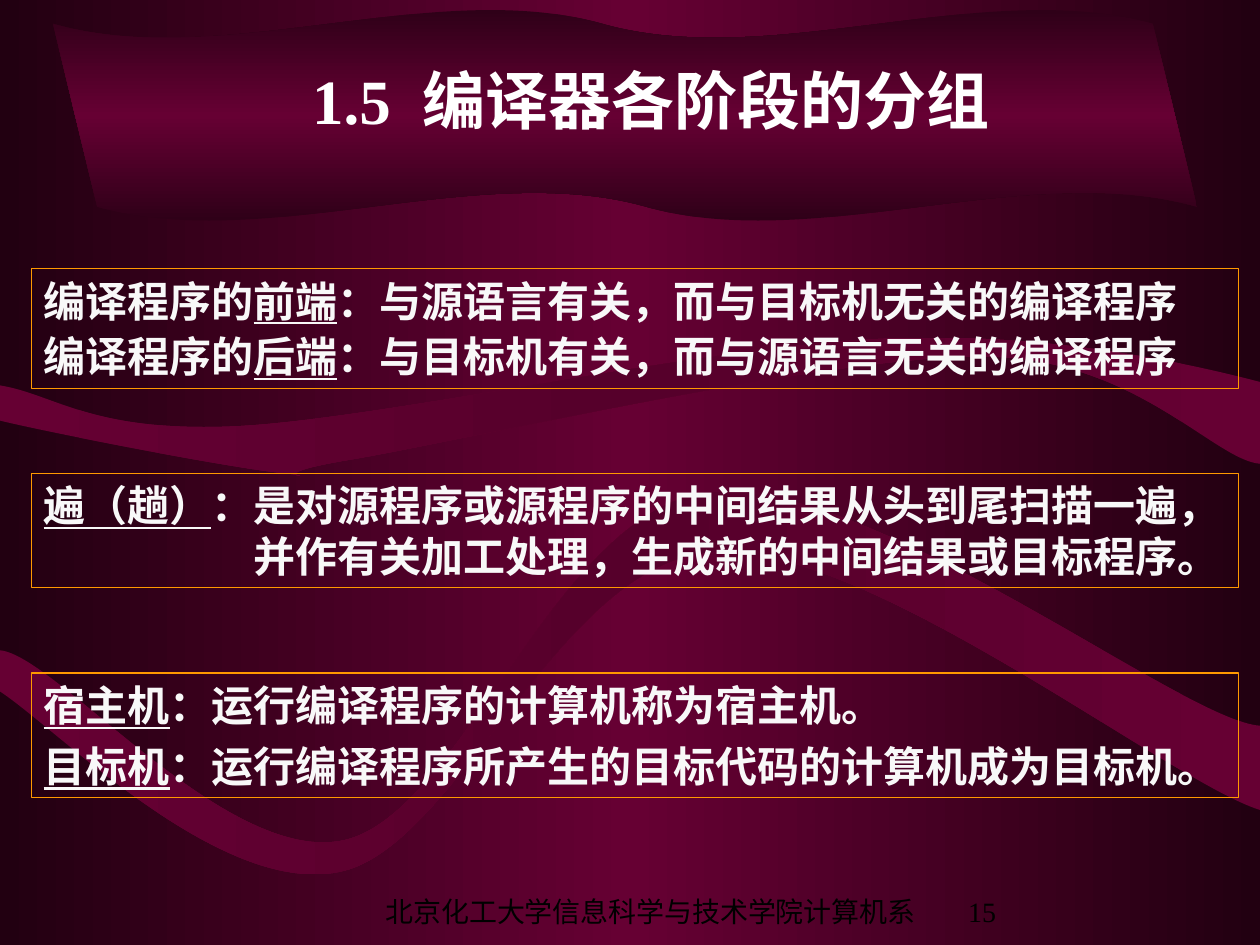
from copy import deepcopy

from lxml.etree import SubElement
from pptx import Presentation
from pptx.dml.color import RGBColor
from pptx.enum.shapes import MSO_SHAPE as Shape
from pptx.enum.text import MSO_ANCHOR as Anchor, PP_ALIGN as Align
from pptx.oxml.ns import qn
from pptx.util import Cm, Pt

DARK = RGBColor(0x22, 0x00, 0x11)
WINE = RGBColor(0x66, 0x00, 0x33)
WINE_DEEP = RGBColor(0x56, 0x00, 0x2B)
BANNER_EDGE = RGBColor(0x2F, 0x00, 0x18)
ORANGE = RGBColor(0xFF, 0x99, 0x00)
OFF_WHITE = RGBColor(0xF8, 0xF8, 0xF8)
WHITE = RGBColor(0xFF, 0xFF, 0xFF)
BLACK = RGBColor(0x00, 0x00, 0x00)
SERIF = "Times New Roman"
SANS = "Noto Sans CJK SC"
COMMANDS = {1: "a:lnTo", 3: "a:cubicBezTo"}


def fill_mirrored(fill, element, edge, middle, angle):
    """Fill with a gradient that runs edge, middle, edge."""
    fill.gradient()
    fill.gradient_angle = angle
    stops = element.find(".//" + qn("a:gsLst"))
    stops.insert(1, deepcopy(stops[0]))
    for stop, position, color in zip(fill.gradient_stops, (0, 0.5, 1), (edge, middle, edge)):
        stop.position = position
        stop.color.rgb = color


def add_path_command(outline, tag, coordinates, left, top):
    command = SubElement(outline, qn(tag))
    for x, y in zip(coordinates[::2], coordinates[1::2]):
        SubElement(command, qn("a:pt"), x=str(Cm(x) - Cm(left)), y=str(Cm(y) - Cm(top)))


prs = Presentation()
prs.slide_width, prs.slide_height = Cm(25.4), Cm(19.05)
slide = prs.slides.add_slide(prs.slide_layouts[5])
fill_mirrored(slide.background.fill, slide.element, DARK, WINE, 0)

# Two ribbons and the title banner: frame, start, corners and curves, edge, middle, angle
outlines = [
    ((0, 6.68, 25.4, 9.65), (0, 7.77),
     [(0, 8.48), (0.94, 8.71, 4.45, 9.4, 5.64, 9.53), (6.83, 9.65, 4.83, 9.63, 7.16, 9.25),
      (9.53, 8.84, 16.76, 7.16, 19.81, 7.19), (22.86, 7.19, 24.46, 9.27, 25.4, 9.35),
      (25.4, 7.7), (24.13, 7.37, 21.23, 6.68, 17.81, 6.83),
      (14.38, 6.96, 7.8, 8.43, 4.83, 8.59), (1.85, 8.74, 1.12, 7.95, 0, 7.77)],
     WINE, WINE_DEEP, 0),
    ((0, 9.58, 25.4, 18.06), (0, 13.11),
     [(0, 13.94), (1.14, 14.68, 4.42, 18.06, 6.83, 17.58),
      (9.22, 17.12, 11.25, 11.33, 14.35, 11.13), (17.45, 10.9, 23.55, 15.75, 25.4, 16.33),
      (25.4, 14.63), (23.83, 14.53, 17.55, 9.58, 14.27, 9.93),
      (11.2, 10.31, 9.32, 16.41, 6.93, 16.94), (4.55, 17.45, 1.14, 13.21, 0, 13.11)],
     WINE, WINE_DEEP, 0),
    ((1.07, 0.2, 24.13, 4.45), (23.24, 0.48),
     [(19.84, -0.48, 15.54, 1.45, 12.14, 0.48), (8.74, -0.48, 4.47, 1.45, 1.07, 0.48),
      (1.96, 4.17), (5.36, 5.13, 9.65, 3.2, 13.03, 4.17),
      (16.43, 5.13, 20.73, 3.2, 24.13, 4.17)],
     BANNER_EDGE, WINE, 90),
]
for (left, top, right, bottom), start, segments, edge, middle, angle in outlines:
    builder = slide.shapes.build_freeform(Cm(left), Cm(top))
    builder.add_line_segments([(Cm(right), Cm(top)), (Cm(right), Cm(bottom))])
    ribbon = builder.convert_to_shape()
    outline = ribbon.element.find(".//" + qn("a:path"))
    for command in list(outline):
        outline.remove(command)
    add_path_command(outline, "a:moveTo", start, left, top)
    for segment in segments:
        add_path_command(outline, COMMANDS[len(segment) // 2], segment, left, top)
    SubElement(outline, qn("a:close"))
    ribbon.shadow.inherit = False
    ribbon.line.fill.background()
    fill_mirrored(ribbon.fill, ribbon.element, edge, middle, angle)

# Definitions: top, height, paragraphs of (before, term, after, format)
definitions = [
    (5.42, 2.41, [
        ("编译程序的", "前端", "：与源语言有关，而与目标机无关的编译程序", {}),
        ("编译程序的", "后端", "：与目标机有关，而与源语言无关的编译程序",
         {"space_before": Pt(6), "line_spacing": 0.9})]),
    (9.55, 2.29, [
        ("", "遍（趟）",
         "：是对源程序或源程序的中间结果从头到尾扫描一遍，并作有关加工处理，生成新的中间结果或目标程序。",
         {"space_after": Pt(6)})]),
    (13.57, 2.51, [
        ("", "宿主机", "：运行编译程序的计算机称为宿主机。", {}),
        ("", "目标机", "：运行编译程序所产生的目标代码的计算机成为目标机。",
         {"space_before": Pt(6)})]),
]
term_font = {"size": Pt(24), "name": SANS, "bold": True}
for top, height, lines in definitions:
    definition = slide.shapes.add_shape(Shape.RECTANGLE, Cm(0.63), Cm(top), Cm(24.34), Cm(height))
    definition.shadow.inherit = False
    definition.fill.background()
    definition.line.color.rgb = ORANGE
    definition.line.width = Pt(0.75)
    frame = definition.text_frame
    frame.word_wrap = True
    frame.vertical_anchor = Anchor.TOP
    for index, (before, term, after, spacing) in enumerate(lines):
        paragraph = frame.add_paragraph() if index else frame.paragraphs[0]
        paragraph.alignment = Align.LEFT
        for attribute, value in spacing.items():
            setattr(paragraph, attribute, value)
        if len(lines) == 1:
            properties = paragraph._p.get_or_add_pPr()
            properties.set("marL", str(Cm(4.24)))
            properties.set("indent", str(-Cm(4.24)))
        for text in filter(None, (before, term, after)):
            run = paragraph.add_run()
            run.text = text
            for attribute, value in term_font.items():
                setattr(run.font, attribute, value)
            run.font.color.rgb = OFF_WHITE
            run.font.underline = text == term

title = slide.shapes.title
title.left, title.top, title.width, title.height = Cm(0.84), Cm(0.84), Cm(24.56), Cm(2.34)
slide.shapes._spTree.append(title.element)
department = slide.shapes.add_textbox(Cm(7.19), Cm(17.99), Cm(11.86), Cm(0.84))
page_number = slide.shapes.add_textbox(Cm(19.05), Cm(17.99), Cm(1.5), Cm(0.84))
labels = [
    (title, "1.5  编译器各阶段的分组", Anchor.MIDDLE, {"size": Pt(36), "bold": True}, WHITE),
    (department, "北京化工大学信息科学与技术学院计算机系", Anchor.BOTTOM, {"size": Pt(16)}, BLACK),
    (page_number, "15", Anchor.BOTTOM, {"size": Pt(16)}, BLACK),
]
for label, text, anchor, font, color in labels:
    frame = label.text_frame
    frame.text = text
    frame.word_wrap = True
    frame.vertical_anchor = anchor
    paragraph = frame.paragraphs[0]
    paragraph.alignment = Align.CENTER
    run = paragraph.runs[0]
    for attribute, value in {"name": SERIF, **font}.items():
        setattr(run.font, attribute, value)
    run.font.color.rgb = color

prs.save("out.pptx")
